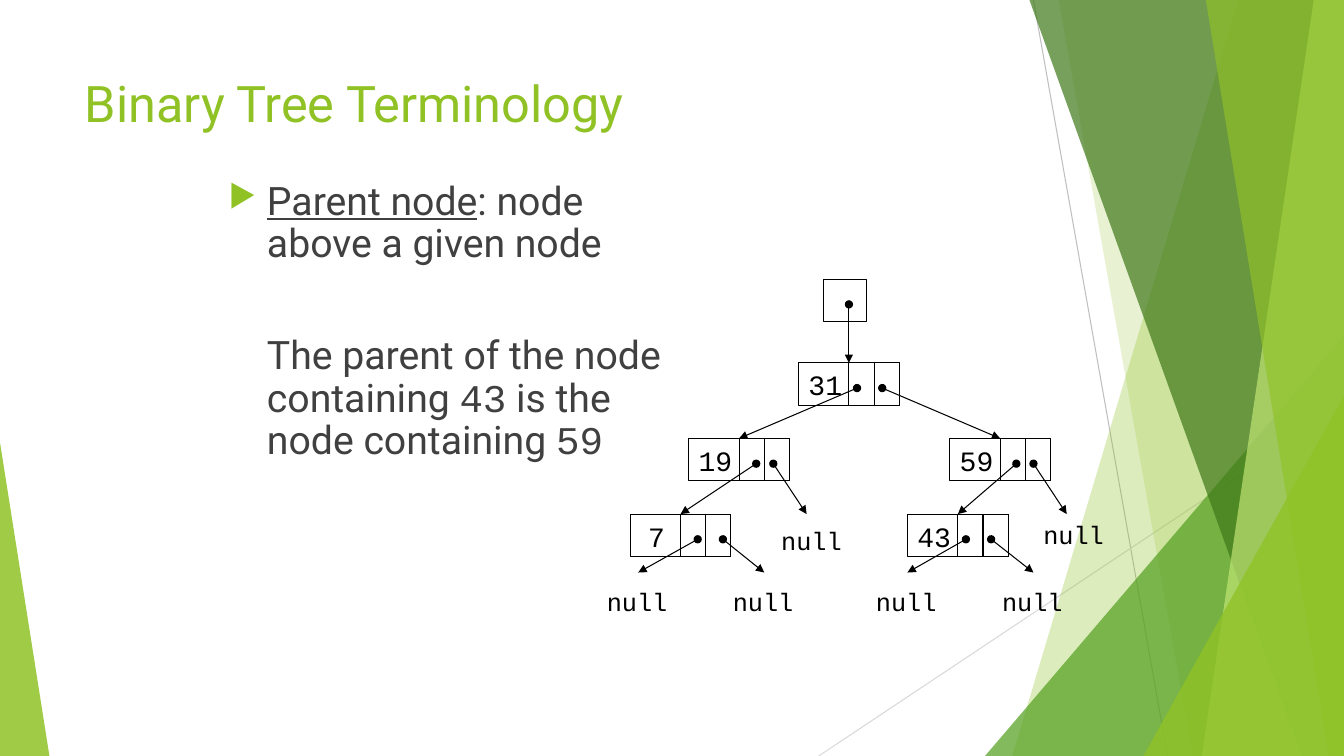
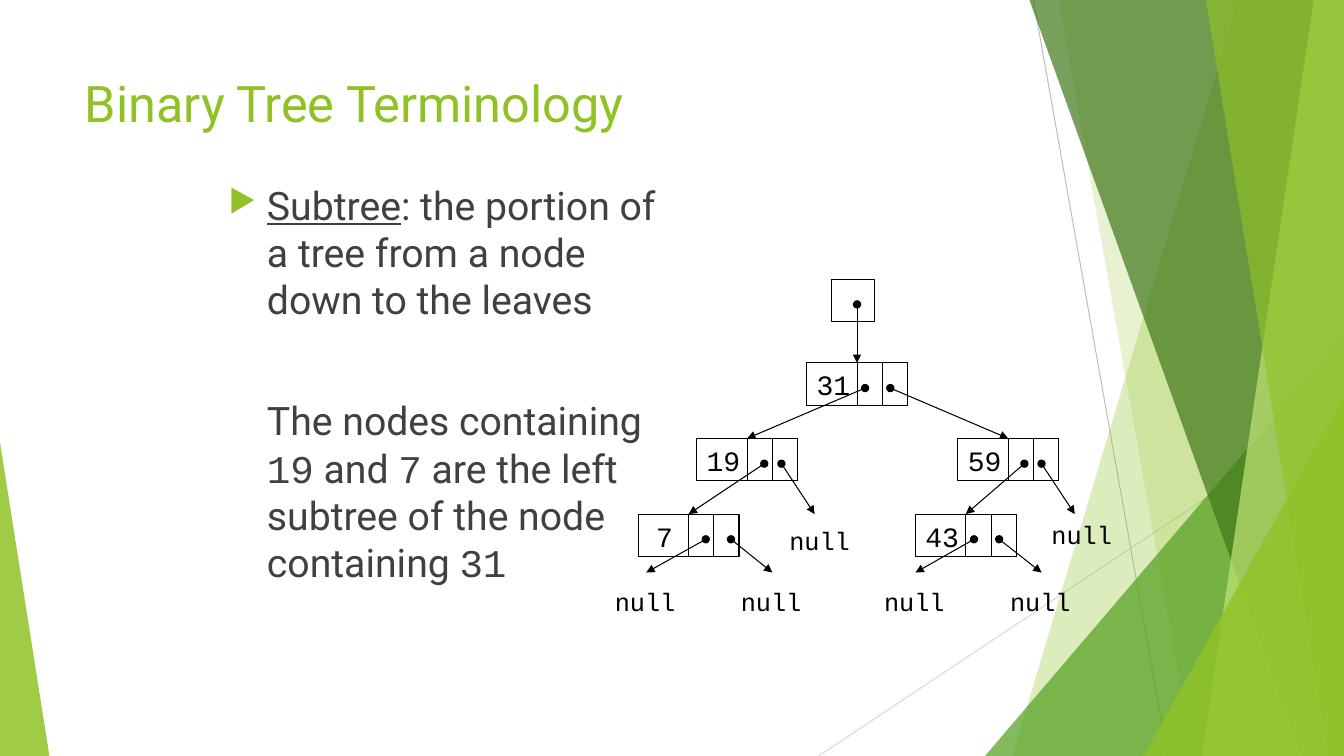
"""Build two slides on binary tree terms, each with a linked-node diagram."""
from dataclasses import dataclass
from typing import NamedTuple

from lxml.etree import SubElement
from pptx import Presentation
from pptx.dml.color import RGBColor
from pptx.enum.shapes import MSO_CONNECTOR as Connector, MSO_SHAPE as Shape
from pptx.enum.text import MSO_ANCHOR as Anchor, MSO_AUTO_SIZE as AutoSize, PP_ALIGN as Align
from pptx.oxml.ns import qn
from pptx.shapes.autoshape import Shape as AutoShape
from pptx.shapes.shapetree import GroupShapes
from pptx.slide import Slide
from pptx.text.text import _Paragraph as Paragraph
from pptx.util import Inches, Pt


@dataclass(frozen=True)
class Theme:
    accent: str = "90C226"
    leaf: str = "54A021"
    forest: str = "3F7819"
    lime: str = "C0E474"
    body: str = "404040"
    ink: str = "000000"
    ray: str = "BFBFBF"
    pale_ray: str = "D9D9D9"
    font: str = "Roboto"
    mono: str = "Courier New"
    title_size: int = 36
    body_size: int = 28
    value_size: int = 20
    null_size: int = 18
    hairline: float = 0.75


class Point(NamedTuple):
    x: float
    y: float


class Ray(NamedTuple):
    start: Point
    end: Point
    color: str


class Band(NamedTuple):
    top_left: float
    bottom_left: float
    color: str
    opacity: int


class Wedge(NamedTuple):
    left: float
    top: float
    width: float
    apex: int
    color: str
    opacity: int


@dataclass(frozen=True)
class Null:
    tip: Point
    label: Point


@dataclass(frozen=True)
class Node:
    value: str
    left: float
    top: float
    dots: tuple[float, float]
    children: tuple["Node | Null", "Node | Null"]
    value_shift: float = 0

    @property
    def tip(self) -> Point:
        return Point(self.left + 0.5, self.top)


class Run(NamedTuple):
    text: str
    mono: bool = False
    underline: bool = False


@dataclass(frozen=True)
class Term:
    definition: tuple[Run, ...]
    example: tuple[Run, ...]
    line_spacing: float
    gap: int
    tree_shift: float


THEME = Theme()
WIDTH, HEIGHT = 13.33, 7.5
CELL, POINTER_CELL, DOT_DROP = 0.42, 0.25, 0.25
INDENT = 0.38

BACKDROP = (
    Ray(Point(10.25, 0), Point(11.58, HEIGHT), THEME.ray),
    Ray(Point(WIDTH, 4.03), Point(8.12, HEIGHT), THEME.pale_ray),
    Band(12.28, 10.04, THEME.accent, 30),
    Band(10.5, 11.83, THEME.accent, 20),
    Wedge(9.77, 3.33, 3.56, 1, THEME.leaf, 72),
    Band(10.21, 12.91, THEME.forest, 70),
    Band(13.03, 11.92, THEME.lime, 70),
    Band(11.96, 13.18, THEME.accent, 65),
    Wedge(11.34, 3.93, 1.99, 1, THEME.accent, 80),
    Wedge(0, 4.39, 0.49, 0, THEME.accent, 85),
)


def bottom_null(x: float) -> Null:
    """Return a null link that ends below the lowest row."""
    return Null(Point(x, 5.68), Point(x - 0.41, 5.77))


SEVEN = Node("7", 6.25, 5.1, (0.67, 0.92), (bottom_null(6.33), bottom_null(7.58)), 0.08)
FORTY_THREE = Node("43", 9, 5.1, (0.58, 0.83), (bottom_null(9), bottom_null(10.25)))
NINETEEN = Node("19", 6.83, 4.35, (0.67, 0.84),
                (SEVEN, Null(Point(8, 5.1), Point(7.65, 5.16))))
FIFTY_NINE = Node("59", 9.42, 4.35, (0.66, 0.83),
                  (FORTY_THREE, Null(Point(10.58, 5.1), Point(10.25, 5.1))))
ROOT = Node("31", 7.92, 3.6, (0.58, 0.83), (NINETEEN, FIFTY_NINE))

TERMS = (
    Term(
        (Run("Parent node", underline=True), Run(": node above a given node")),
        (Run("The parent of the node containing "), Run("43", mono=True),
         Run(" is the node containing "), Run("59", mono=True)),
        line_spacing=0.9, gap=50, tree_shift=0,
    ),
    Term(
        (Run("Subtree", underline=True),
         Run(": the portion of a tree from a node down to the leaves")),
        (Run("The nodes containing "), Run("19", mono=True), Run(" and "),
         Run("7", mono=True), Run(" are the left subtree of the node containing "),
         Run("31", mono=True)),
        line_spacing=1, gap=53, tree_shift=0.08,
    ),
)


def rgb(color: str) -> RGBColor:
    """Turn a hex string into a colour."""
    return RGBColor.from_string(color)


def paint(shape: AutoShape, color: str, opacity: int) -> None:
    """Give a shape a translucent fill and no outline."""
    shape.shadow.inherit = False
    shape.fill.solid()
    shape.fill.fore_color.rgb = rgb(color)
    shape.line.fill.background()
    tint = shape.element.spPr.find(f".//{qn('a:srgbClr')}")
    SubElement(tint, qn("a:alpha"), val=str(opacity * 1000))


def add_line(shapes: GroupShapes, start: Point, end: Point, color: str,
             link: bool = False) -> None:
    """Draw a thin line, with a dot and an arrowhead if it is a link."""
    line = shapes.add_connector(Connector.STRAIGHT, *map(Inches, (*start, *end)))
    line.line.color.rgb = rgb(color)
    line.line.width = Pt(THEME.hairline)
    properties = line._element.spPr
    if link:
        outline = properties.find(qn("a:ln"))
        SubElement(outline, qn("a:headEnd"), type="oval")
        SubElement(outline, qn("a:tailEnd"), type="triangle")
    SubElement(properties, qn("a:effectLst"))


def add_backdrop(slide: Slide) -> None:
    """Draw the rays, bands and wedges at the slide edges."""
    shapes = slide.shapes.add_group_shape().shapes
    for part in BACKDROP:
        if isinstance(part, Ray):
            add_line(shapes, part.start, part.end, part.color)
            continue
        if isinstance(part, Band):
            builder = shapes.build_freeform(Inches(part.top_left), 0)
            corners = ((WIDTH, 0), (WIDTH, HEIGHT), (part.bottom_left, HEIGHT))
            builder.add_line_segments([(Inches(x), Inches(y)) for x, y in corners])
            facet = builder.convert_to_shape()
        else:
            facet = shapes.add_shape(
                Shape.ISOSCELES_TRIANGLE, Inches(part.left), Inches(part.top),
                Inches(part.width), Inches(HEIGHT - part.top))
            facet.adjustments[0] = part.apex
        paint(facet, part.color, part.opacity)


def add_title(slide: Slide, text: str) -> None:
    """Place and style the slide title."""
    title = slide.shapes.title
    title.left, title.top = Inches(0.74), Inches(0.67)
    title.width, title.height = Inches(9.4), Inches(1.44)
    frame = title.text_frame
    frame.text = text
    frame.vertical_anchor = Anchor.TOP
    frame.auto_size = AutoSize.NONE
    heading = frame.paragraphs[0]
    heading.alignment = Align.LEFT
    heading.font.name = THEME.font
    heading.font.size = Pt(THEME.title_size)
    heading.font.color.rgb = rgb(THEME.accent)


def write(paragraph: Paragraph, runs: tuple[Run, ...], spacing: float) -> None:
    """Fill an indented body paragraph with its runs."""
    paragraph.line_spacing = spacing
    paragraph.font.size = Pt(THEME.body_size)
    paragraph.font.color.rgb = rgb(THEME.body)
    paragraph._p.get_or_add_pPr().set("marL", str(Inches(INDENT)))
    for part in runs:
        run = paragraph.add_run()
        run.text = part.text
        run.font.name = THEME.mono if part.mono else THEME.font
        run.font.size = Pt(THEME.body_size)
        run.font.color.rgb = rgb(THEME.body)
        if part.underline:
            run.font.underline = True


def add_bullet(paragraph: Paragraph) -> None:
    """Hang an accent arrowhead before a paragraph."""
    properties = paragraph._p.get_or_add_pPr()
    properties.set("indent", str(-Inches(INDENT)))
    tint = SubElement(properties, qn("a:buClr"))
    SubElement(tint, qn("a:srgbClr"), val=THEME.accent)
    SubElement(properties, qn("a:buSzPct"), val="80000")
    SubElement(properties, qn("a:buChar"), char="▶")
    properties.append(properties.find(qn("a:defRPr")))


def add_explanation(slide: Slide, term: Term) -> None:
    """Write the definition of a term and its example."""
    box = slide.shapes.add_textbox(Inches(2.17), Inches(1.75), Inches(4.54), Inches(4.5))
    frame = box.text_frame
    frame.word_wrap = True
    definition, example = frame.paragraphs[0], frame.add_paragraph()
    write(definition, term.definition, term.line_spacing)
    add_bullet(definition)
    write(example, term.example, term.line_spacing)
    example.space_before = Pt(term.gap)


def add_cell(shapes: GroupShapes, left: float, top: float, width: float) -> None:
    """Draw one outlined memory cell."""
    cell = shapes.add_shape(Shape.RECTANGLE, *map(Inches, (left, top, width, CELL)))
    cell.shadow.inherit = False
    cell.fill.background()
    cell.line.color.rgb = rgb(THEME.ink)
    cell.line.width = Pt(THEME.hairline)


def add_label(shapes: GroupShapes, text: str, left: float, top: float, size: int) -> None:
    """Write a monospaced label in a box that fits it."""
    width, height = 0.2 + len(text) * size / 120, 0.1 + size / 60
    box = shapes.add_textbox(*map(Inches, (left, top, width, height)))
    frame = box.text_frame
    frame.word_wrap = False
    frame.auto_size = AutoSize.SHAPE_TO_FIT_TEXT
    frame.text = text
    font = frame.paragraphs[0].font
    font.name, font.size = THEME.mono, Pt(size)
    font.color.rgb = rgb(THEME.ink)


def add_node(shapes: GroupShapes, node: Node) -> None:
    """Draw a node, its links and everything below it."""
    add_cell(shapes, node.left, node.top, 1)
    for offset in (0.5, 0.75):
        add_cell(shapes, node.left + offset, node.top, POINTER_CELL)
    add_label(shapes, node.value, node.left + node.value_shift, node.top, THEME.value_size)
    for dot, child in zip(node.dots, node.children):
        start = Point(node.left + dot, node.top + DOT_DROP)
        add_line(shapes, start, child.tip, THEME.ink, link=True)
        if isinstance(child, Node):
            add_node(shapes, child)
        else:
            add_label(shapes, "null", *child.label, THEME.null_size)


def add_tree(slide: Slide, shift: float) -> None:
    """Draw the root pointer and the tree, moved right by a shift."""
    tree = slide.shapes.add_group_shape()
    pointer = Point(ROOT.left + 0.25, 2.77)
    add_cell(tree.shapes, *pointer, CELL)
    dot = Point(ROOT.tip.x, pointer.y + DOT_DROP)
    add_line(tree.shapes, dot, ROOT.tip, THEME.ink, link=True)
    add_node(tree.shapes, ROOT)
    tree.left += Inches(shift)


def main() -> None:
    """Build and save the presentation."""
    deck = Presentation()
    deck.slide_width, deck.slide_height = Inches(WIDTH), Inches(HEIGHT)
    for term in TERMS:
        slide = deck.slides.add_slide(deck.slide_layouts[5])
        add_backdrop(slide)
        add_title(slide, "Binary Tree Terminology")
        add_explanation(slide, term)
        add_tree(slide, term.tree_shift)
    deck.save("out.pptx")


if __name__ == "__main__":
    main()
